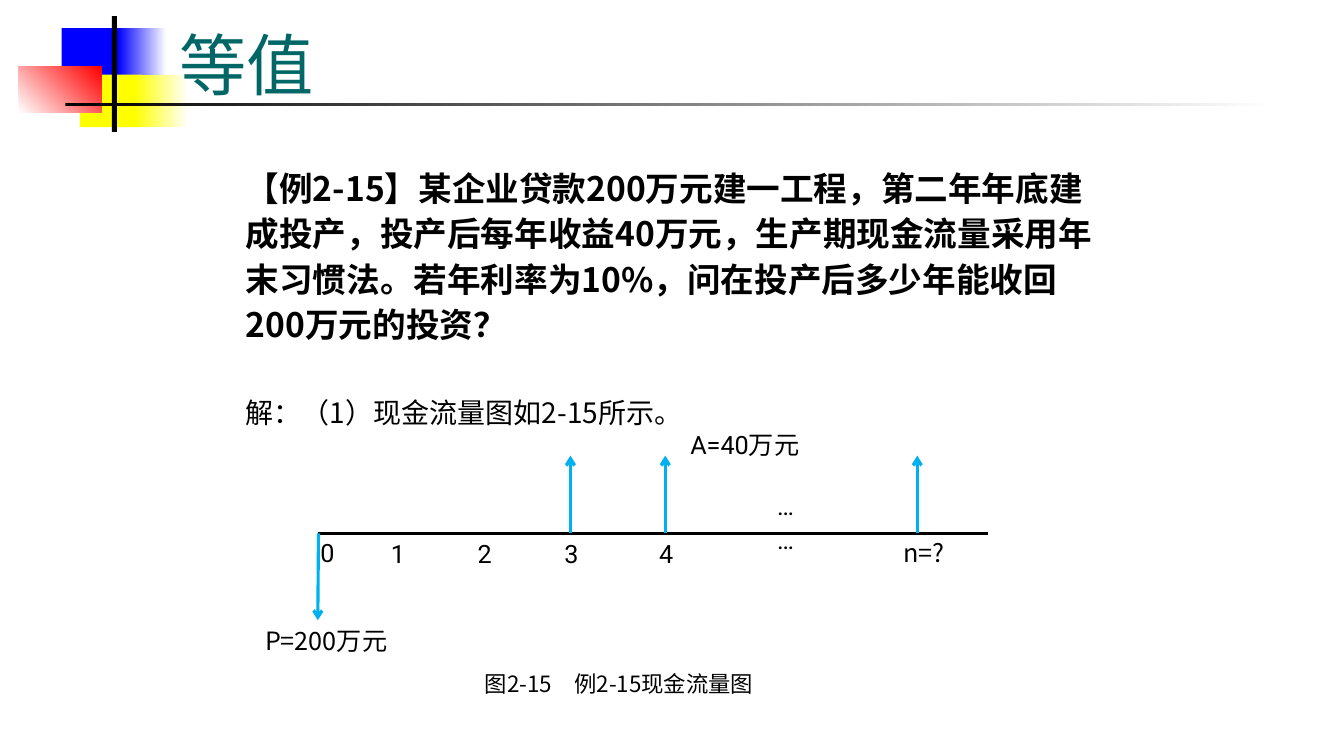
"""Builds the equivalence example slide with its cash flow diagram."""
from lxml import etree
from pptx import Presentation
from pptx.dml.color import RGBColor
from pptx.enum.shapes import MSO_CONNECTOR as LINE, MSO_SHAPE as SHAPE
from pptx.enum.text import MSO_ANCHOR as ANCHOR
from pptx.oxml.ns import qn
from pptx.util import Pt

BLACK = RGBColor(0, 0, 0)
WHITE = RGBColor(255, 255, 255)
BLUE = RGBColor(0, 0, 255)
YELLOW = RGBColor(255, 255, 0)
RED = RGBColor(255, 0, 0)
TEAL = RGBColor(0, 0x66, 0x66)
SKY = RGBColor(0, 0xB0, 0xF0)
NOTO, ROBOTO, TIMES = "Noto Sans CJK SC", "Roboto", "Times New Roman"

deck = Presentation()
deck.slide_width, deck.slide_height = Pt(960), Pt(540)
slide = deck.slides.add_slide(deck.slide_layouts[6])
shapes = slide.shapes


def add_text(left, top, width, height, paras, color=BLACK):
    """Add a text box; each paragraph is a list of (text, size, font) runs."""
    box = shapes.add_textbox(Pt(left), Pt(top), Pt(width), Pt(height))
    frame = box.text_frame
    frame.word_wrap = True
    for i, runs in enumerate(paras):
        para = frame.add_paragraph() if i else frame.paragraphs[0]
        for text, size, face in runs:
            run = para.add_run()
            run.text = text
            font = run.font
            font.size, font.name = Pt(size), face
            font.color.rgb = color
            east = etree.SubElement(run._r.get_or_add_rPr(), qn("a:ea"))
            east.set("typeface", NOTO if face == TIMES else face)
    return frame


def add_line(x1, y1, x2, y2, color, arrow=True):
    """Add a diagram line, with an arrowhead at its end if wanted."""
    line = shapes.add_connector(LINE.STRAIGHT, Pt(x1), Pt(y1), Pt(x2), Pt(y2))
    line.line.color.rgb = color
    line.line.width = Pt(2.25)
    if arrow:
        tail = etree.SubElement(line.line._get_or_add_ln(), qn("a:tailEnd"))
        tail.set("type", "arrow")
    etree.SubElement(line._element.spPr, qn("a:effectLst"))


blocks = [
    (44, 20, 46, 37.5, BLUE, None, 0),
    (84.2, 20, 34.6, 37.5, BLUE, WHITE, 0),
    (57, 53.3, 44.6, 37.5, YELLOW, None, 0),
    (95.8, 53.3, 38.9, 37.5, YELLOW, WHITE, 0),
    (13.5, 47.5, 59, 33.1, WHITE, RED, 45),
    (80, 11.5, 3.6, 82.8, BLACK, None, 0),
    (46.8, 73.5, 864, 2.2, BLACK, WHITE, 0),
]
for left, top, width, height, start, end, angle in blocks:
    block = shapes.add_shape(
        SHAPE.RECTANGLE, Pt(left), Pt(top), Pt(width), Pt(height))
    block.shadow.inherit = False
    block.line.fill.background()
    fill = block.fill
    if end is None:
        fill.solid()
        fill.fore_color.rgb = start
    else:
        fill.gradient()
        fill.gradient_angle = angle
        for stop, color in zip(fill.gradient_stops, (start, end)):
            stop.color.rgb = color

title = add_text(121, 11.5, 818, 66.2, [[("等值", 48, TIMES)]], TEAL)
title.vertical_anchor = ANCHOR.BOTTOM

task = ("【例2-15】某企业贷款200万元建一工程，第二年年底建成投产，"
        "投产后每年收益40万元，生产期现金流量采用年末习惯法。"
        "若年利率为10%，问在投产后多少年能收回200万元的投资？")
body = add_text(168.5, 112.3, 634.3, 190, [
    [(task, 24, NOTO)],
    [("解：（1）现金流量图如2-15所示。", 20, NOTO)],
])
for para in body.paragraphs:
    para.line_spacing = 1.13
body.paragraphs[0].runs[0].font.bold = True
body.paragraphs[1].space_before = Pt(33)

axis = 381
add_line(227.5, axis, 705.6, axis, BLACK, False)
add_line(227.5, axis, 227, 443, SKY)
for x in (407.5, 475.2, 655.2):
    add_line(x, axis, x, 325.5, SKY)

labels = [
    ("0", 221.8, 380.2, 28, ROBOTO),
    ("1", 272.2, axis, 28, ROBOTO),
    ("2", 334.1, axis, 28, ROBOTO),
    ("3", 396, axis, 28, ROBOTO),
    ("4", 463.7, axis, 28, ROBOTO),
    ("…", 548, 347, 28, ROBOTO),
    ("…", 548, 370.8, 28, ROBOTO),
    ("n=?", 638, 380.2, 84, NOTO),
    ("P=200万元", 182.2, 442.8, 106.6, NOTO),
]
for text, left, top, width, face in labels:
    add_text(left, top, width, 29, [[(text, 18, face)]])
add_text(486, 303.1, 168.5, 29, [[("A=40", 18, ROBOTO), ("万元", 18, NOTO)]])
add_text(339.1, 475.2, 281.5, 26.6, [[("图2-15　例2-15现金流量图", 16, NOTO)]])

deck.save("out.pptx")
